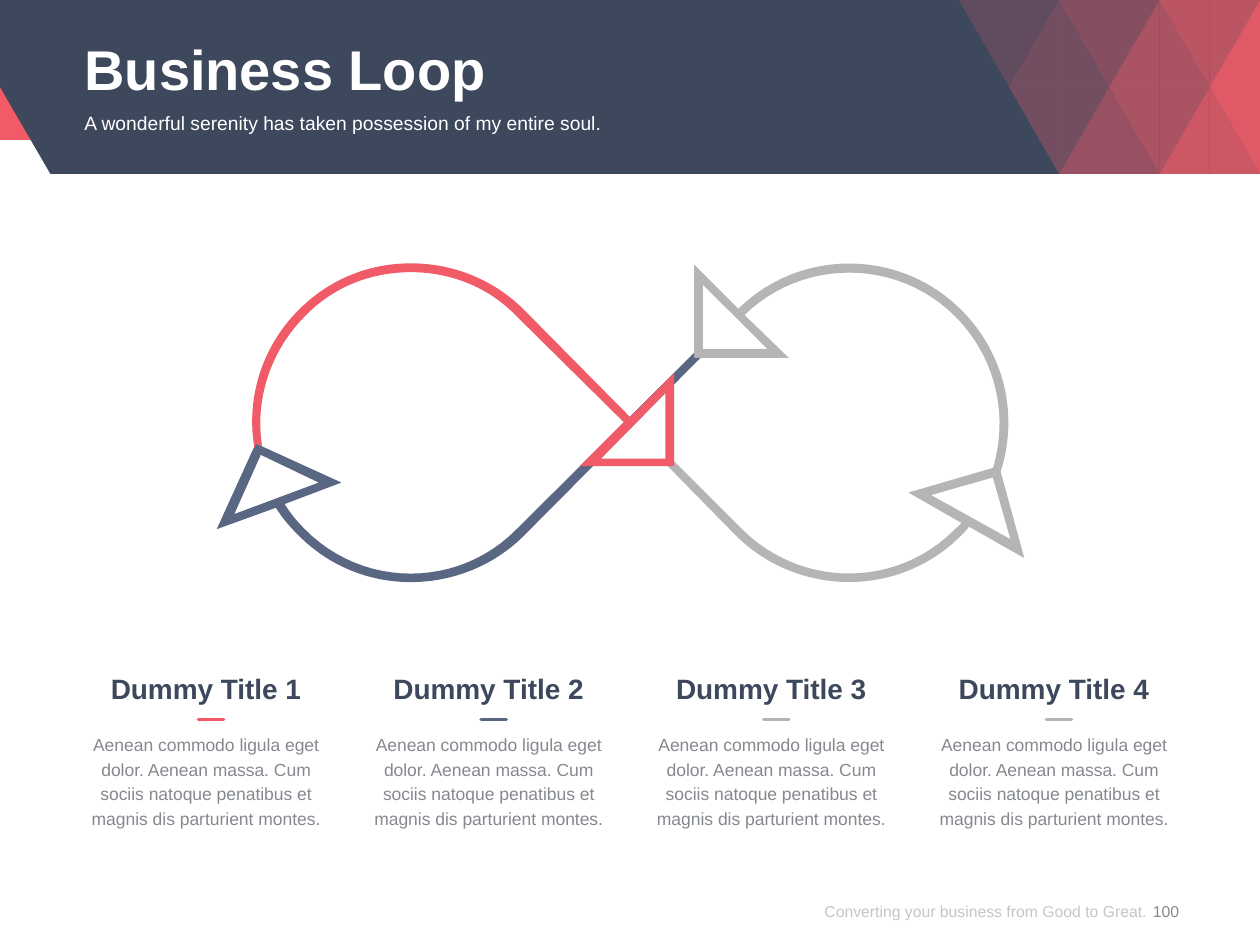
from lxml import etree
from pptx import Presentation
from pptx.dml.color import RGBColor
from pptx.enum.shapes import MSO_CONNECTOR, MSO_SHAPE
from pptx.enum.text import MSO_ANCHOR, MSO_AUTO_SIZE, PP_ALIGN
from pptx.oxml.ns import qn
from pptx.util import Inches, Pt

LEFT, CENTER, RIGHT = PP_ALIGN.LEFT, PP_ALIGN.CENTER, PP_ALIGN.RIGHT
TOP, MIDDLE = MSO_ANCHOR.TOP, MSO_ANCHOR.MIDDLE
FIXED, GROW = MSO_AUTO_SIZE.NONE, MSO_AUTO_SIZE.SHAPE_TO_FIT_TEXT
COLORS = {"red": "F15B67", "navy": "3D485D", "blue": "5A6783", "silver": "B5B5B5",
          "gray": "85898F", "footer": "8C8C8C", "white": "FFFFFF"}
CURVE_STEPS = 24

prs = Presentation()
prs.slide_width, prs.slide_height = Inches(10), Inches(7.5)
slide = prs.slides.add_slide(prs.slide_layouts[5])
shapes = slide.shapes


def draw_outline(contours, color, opacity=100):
    builder = None
    for contour in contours:
        points = [contour[0]]
        for step in contour[1:]:
            if len(step) == 2:
                points.append(step)
                continue
            start, c1, c2, end = points[-1], step[:2], step[2:4], step[4:]
            for n in range(1, CURVE_STEPS + 1):
                t = n / CURVE_STEPS
                u = 1 - t
                points.append(tuple(u**3 * a + 3 * u * u * t * b + 3 * u * t * t * c + t**3 * d
                                    for a, b, c, d in zip(start, c1, c2, end)))
        points = [(Inches(x), Inches(y)) for x, y in points]
        if builder is None:
            builder = shapes.build_freeform(*points[0])
        else:
            builder.move_to(*points[0])
        builder.add_line_segments(points[1:], close=True)
    outline = builder.convert_to_shape()
    outline.shadow.inherit = False
    outline.fill.solid()
    outline.fill.fore_color.rgb = RGBColor.from_string(COLORS[color])
    outline.line.fill.background()
    if opacity < 100:
        fill_color = outline._element.spPr.find(".//" + qn("a:srgbClr"))
        etree.SubElement(fill_color, qn("a:alpha"), val=str(opacity * 1000))


def write_text(holder, box, text, size, color, bold=False, align=LEFT, anchor=TOP,
               spacing=None, fit=FIXED):
    for side, length in zip(("left", "top", "width", "height"), box):
        setattr(holder, side, Inches(length))
    frame = holder.text_frame
    frame_format = {"margin_left": 0, "margin_top": 0, "margin_right": 0, "margin_bottom": 0,
                    "word_wrap": True, "auto_size": fit, "vertical_anchor": anchor}
    for name, value in frame_format.items():
        setattr(frame, name, value)
    paragraph = frame.paragraphs[0]
    paragraph.alignment = align
    if spacing:
        paragraph.line_spacing = Pt(spacing)
    run = paragraph.add_run()
    run.text = text
    for name, value in {"name": "Arial", "size": Pt(size), "bold": bold}.items():
        setattr(run.font, name, value)
    run.font.color.rgb = RGBColor.from_string(COLORS[color])
    return run


red_strip = shapes.add_shape(MSO_SHAPE.RECTANGLE, 0, 0, Inches(10), Inches(1.11))
red_strip.shadow.inherit = False
red_strip.fill.solid()
red_strip.fill.fore_color.rgb = RGBColor.from_string(COLORS["red"])
red_strip.line.fill.background()

BAND, MID = 1.38, 0.69
draw_outline([[(0, 0), (10, 0), (10, BAND), (0.4, BAND), (0, MID)]], "navy")

mosaic_left, mosaic_step = 7.61, 2.39 / 6
mosaic_rows = [(0, [20, 20, 40, 40, 70, 70]), (BAND, [0, 0, 50, 50, 80, 80])]
inner_opacities = [0, 30, 30, 60, 60, 90]
for edge, outer_opacities in mosaic_rows:
    for col, (outer, inner) in enumerate(zip(outer_opacities, inner_opacities)):
        x0 = mosaic_left + col * mosaic_step
        x1 = x0 + mosaic_step
        apex, corner = (x0, x1) if col % 2 else (x1, x0)
        if outer:
            draw_outline([[(x0, edge), (x1, edge), (apex, MID)]], "red", outer)
        if inner:
            draw_outline([[(x0, MID), (x1, MID), (corner, edge)]], "red", inner)

title = shapes.title
shapes._spTree.append(title._element)
write_text(title, (0.67, 0.19, 8.66, 0.65), "Business Loop", 32, "white", True,
           anchor=MIDDLE, spacing=42)
write_text(shapes.add_textbox(0, 0, 0, 0), (0.67, 0.88, 8.66, 0.39),
           "A wonderful serenity has taken possession of my entire soul.", 11, "white")
tagline = write_text(shapes.add_textbox(0, 0, 0, 0), (6.04, 6.96, 3.06, 0.54),
                     "Converting your business from Good to Great.", 9, "footer",
                     align=RIGHT, anchor=MIDDLE)
etree.SubElement(tagline._r.find(".//" + qn("a:srgbClr")), qn("a:alpha"), val="50000")
write_text(shapes.add_textbox(0, 0, 0, 0), (9.02, 6.96, 0.47, 0.54), "100", 9, "gray",
           align=CENTER, anchor=MIDDLE)

column_width = 1.93
column_pitch = (8.66 - column_width) / 3
description = ("Aenean commodo ligula eget dolor. Aenean massa. Cum sociis natoque "
               "penatibus et magnis dis parturient montes.")
for col, accent in enumerate(["red", "blue", "silver", "silver"]):
    left = 0.67 + col * column_pitch
    center = left + column_width / 2 + 0.04
    write_text(shapes.add_textbox(0, 0, 0, 0), (left, 5.8, column_width, 0.79),
               description, 10, "gray", align=CENTER, spacing=14, fit=GROW)
    write_text(shapes.add_textbox(0, 0, 0, 0), (left, 5.33, column_width, 0.27),
               f"Dummy Title {col + 1}", 16, "navy", True, align=CENTER, fit=GROW)
    dash = shapes.add_connector(MSO_CONNECTOR.STRAIGHT, Inches(center - 0.1), Inches(5.71),
                                Inches(center + 0.1), Inches(5.71))
    dash.line.color.rgb = RGBColor.from_string(COLORS[accent])
    dash.line.width = Pt(2)
    dash_properties = dash._element.spPr
    dash_properties.find(qn("a:ln")).set("cap", "rnd")
    etree.SubElement(dash_properties, qn("a:effectLst"))

loop_arrows = [
    ("silver", [
        [(7.93, 3.7), (7.21, 3.91), (7.63, 4.15), (7.62, 4.17, 7.6, 4.18, 7.58, 4.2),
         (7.12, 4.67, 6.36, 4.67, 5.89, 4.2), (5.35, 3.66), (5.35, 3.7), (5.3, 3.7),
         (5.84, 4.25), (6.09, 4.5, 6.42, 4.62, 6.74, 4.62),
         (7.06, 4.62, 7.38, 4.5, 7.63, 4.25), (7.65, 4.23, 7.68, 4.2, 7.69, 4.18),
         (8.13, 4.43)],
        [(7.39, 3.93), (7.88, 3.79), (8.02, 4.28)]]),
    ("silver", [
        [(7.63, 2.46), (7.14, 1.97, 6.35, 1.97, 5.86, 2.45), (5.51, 2.1), (5.51, 2.84),
         (6.26, 2.84), (5.91, 2.5), (6.37, 2.05, 7.12, 2.05, 7.58, 2.51),
         (7.9, 2.83, 8.01, 3.29, 7.88, 3.72), (7.93, 3.7), (7.94, 3.75),
         (8.09, 3.29, 7.97, 2.8, 7.63, 2.46)],
        [(6.09, 2.77), (5.58, 2.77), (5.58, 2.26)]]),
    ("blue", [
        [(5.51, 2.84), (5.51, 2.8), (4.1, 4.2), (3.64, 4.67, 2.88, 4.67, 2.42, 4.2),
         (2.36, 4.14, 2.3, 4.07, 2.26, 4), (2.71, 3.83), (2.03, 3.52), (1.72, 4.2),
         (2.19, 4.03), (2.24, 4.11, 2.3, 4.18, 2.37, 4.25),
         (2.62, 4.5, 2.94, 4.62, 3.26, 4.62), (3.58, 4.62, 3.91, 4.5, 4.16, 4.25),
         (5.56, 2.84)],
        [(1.86, 4.08), (2.07, 3.61), (2.53, 3.83)]]),
    ("red", [
        [(5, 3.31), (4.16, 2.46), (3.92, 2.22, 3.6, 2.09, 3.26, 2.09),
         (2.92, 2.09, 2.61, 2.22, 2.37, 2.46), (2.08, 2.75, 1.95, 3.16, 2.02, 3.56),
         (2.03, 3.52), (2.08, 3.54), (2.02, 3.17, 2.15, 2.78, 2.42, 2.51),
         (2.64, 2.28, 2.94, 2.16, 3.26, 2.16), (3.58, 2.16, 3.88, 2.28, 4.1, 2.51),
         (4.95, 3.35), (4.6, 3.7), (5.35, 3.7), (5.35, 2.96)],
        [(5.28, 3.64), (4.77, 3.64), (5.28, 3.12)]]),
]
for color, contours in loop_arrows:
    draw_outline(contours, color)

prs.save("out.pptx")
